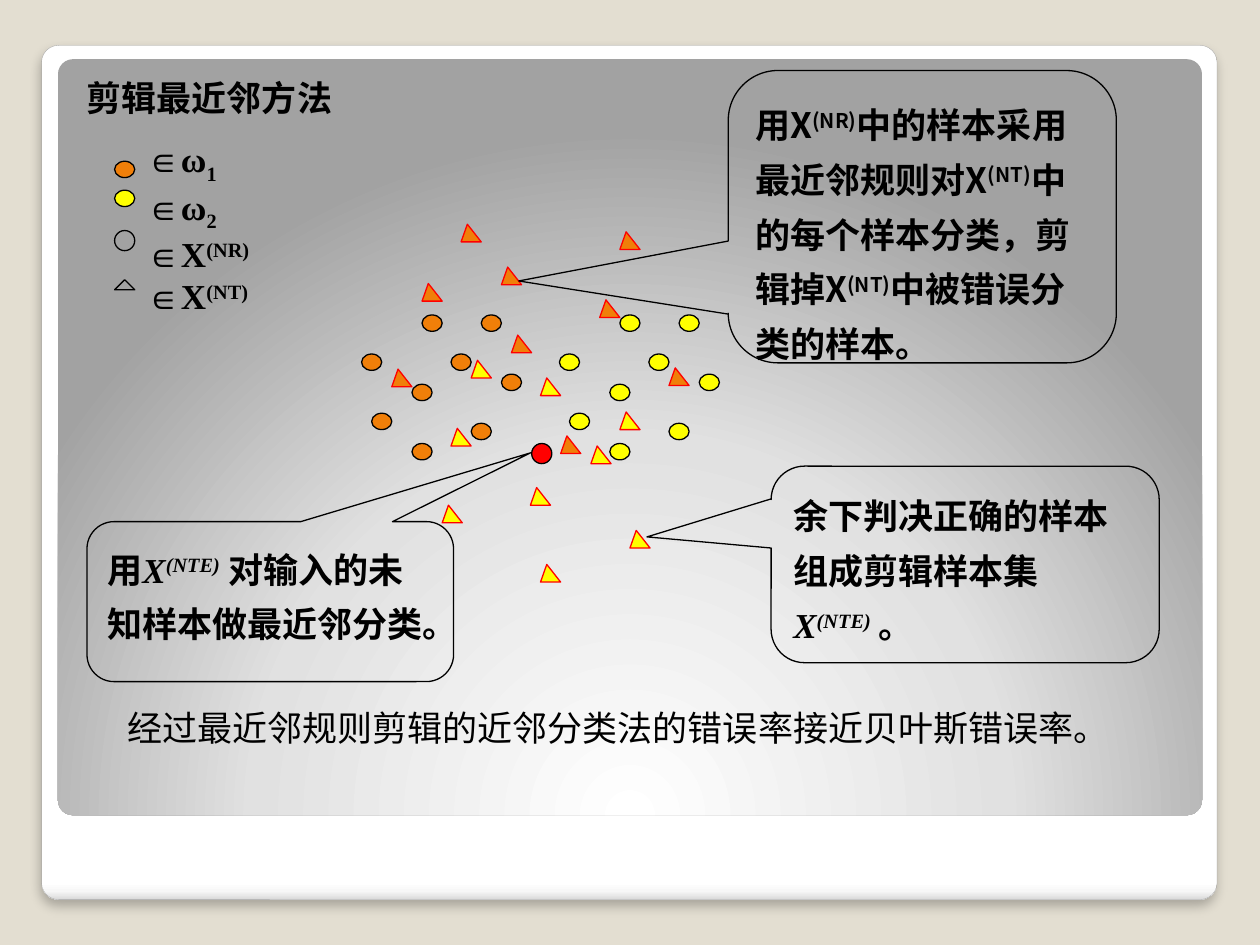
from typing import NamedTuple

import lxml.etree
import pptx
import pptx.dml.color
import pptx.enum.shapes
import pptx.enum.text
import pptx.oxml
import pptx.oxml.ns
import pptx.util

Inches = pptx.util.Inches
MSO = pptx.enum.shapes.MSO_SHAPE
qn = pptx.oxml.ns.qn

COLORS = {
    "page": "E3DED1", "edge": "A4A4A4", "black": "000000",
    "orange": "F07F09", "yellow": "FFFF00", "red": "FF0000",
}
SERIF, CJK = "Times New Roman", "Noto Sans CJK SC"
MARK_W, DOT_H, TRI_H = 0.16, 0.13, 0.14
CLASS_SHIFT = 1.57  # second class repeats the first one's dots, moved right


class Run(NamedTuple):
    text: str
    base: int = 0
    font: str = ""
    italic: bool = False


class Callout(NamedTuple):
    box: tuple[float, float, float, float]
    adj: tuple[float, float, float]
    runs: list[Run]


DOTS = [(2.87, 2.81), (3.27, 3.05), (3.58, 2.81), (3.35, 2.5), (3.82, 2.5),
        (3.98, 2.97), (3.74, 3.36), (3.27, 3.52), (2.95, 3.28)]
TRIANGLES = {
    "yellow": [(3.58, 3.4), (3.74, 2.86), (4.21, 3.87), (3.51, 4.01), (4.69, 3.54),
               (4.92, 3.27), (4.29, 3), (4.29, 4.48), (5, 4.21)],
    "orange": [(4.45, 3.46), (4.76, 2.38), (4.92, 1.84), (5.31, 2.92), (3.11, 2.93),
               (3.98, 2.12), (3.35, 2.25), (3.66, 1.78), (4.06, 2.66)],
}
NTE = [Run("X", 0, SERIF, True), Run("(NTE)", 30, SERIF, True)]
CALLOUTS = [
    Callout((5.78, 0.56, 3.08, 2.32), (-1.04, 0.22, 0.17),
            [Run("用X"), Run("(NR)", 30), Run("中的样本采用最近邻规则对X"),
             Run("(NT)", 30), Run("中的每个样本分类，剪辑掉X"),
             Run("(NT)", 30), Run("中被错误分类的样本。")]),
    Callout((6.12, 3.7, 3.08, 1.56), (-0.82, -0.14, 0.17),
            [Run("余下判决正确的样本组成剪辑样本集"), *NTE, Run(" 。")]),
    Callout((0.69, 4.14, 2.91, 1.27), (0.71, -0.93, 0.17),
            [Run("用"), *NTE, Run(" 对输入的未知样本做最近邻分类。")]),
]
LEGEND = [Run("∈ω"), Run("1\n", -25), Run("∈ω"), Run("2\n", -25),
          Run("∈X"), Run("(NR)\n", 30), Run("∈X"), Run("(NT)", 30)]


def rgb(name: str) -> pptx.dml.color.RGBColor:
    return pptx.dml.color.RGBColor.from_string(COLORS[name])


def style(sp, fill: str = "", line: str = "black", width: float = 0.75) -> None:
    sp.shadow.inherit = False
    if fill:
        sp.fill.solid()
        sp.fill.fore_color.rgb = rgb(fill)
    else:
        sp.fill.background()
    if line:
        sp.line.color.rgb = rgb(line)
        sp.line.width = pptx.util.Pt(width)
    else:
        sp.line.fill.background()


def add_preset(s, kind, box, **fmt):
    sp = s.shapes.add_shape(kind, *map(Inches, box))
    style(sp, **fmt)
    return sp


def add_triangle(s, x: float, y: float, h: float, apex: float, **fmt) -> None:
    points = [(x, y + h), (x + apex, y), (x + MARK_W, y + h)]
    start, *rest = [(Inches(px), Inches(py)) for px, py in points]
    builder = s.shapes.build_freeform(*start)
    builder.add_line_segments(rest, close=True)
    style(builder.convert_to_shape(), **fmt)


def write_text(sp, runs: list[Run], *, font: str, bold: bool = True,
               spacing: float = 1.0) -> None:
    tf = sp.text_frame
    tf.word_wrap = True
    tf.vertical_anchor = pptx.enum.text.MSO_ANCHOR.TOP
    p = tf.paragraphs[0]
    p.alignment = pptx.enum.text.PP_ALIGN.LEFT
    p.line_spacing = spacing
    for run in runs:
        r = p.add_run()
        r.text = run.text.rstrip("\n")
        name = run.font or font
        r.font.name, r.font.size = name, pptx.util.Pt(20)
        r.font.bold, r.font.italic = bold, run.italic
        r.font.color.rgb = rgb("black")
        rpr = r._r.get_or_add_rPr()
        lxml.etree.SubElement(rpr, qn("a:ea"), typeface=name)
        if run.base:
            rpr.set("baseline", str(run.base * 1000))
        if run.text.endswith("\n"):
            p.add_line_break()


def add_text(s, box, runs: list[Run], **fmt) -> None:
    write_text(s.shapes.add_textbox(*map(Inches, box)), runs, **fmt)


def set_gradient(sp, stops: list[tuple[int, str]], direction: str) -> None:
    gs = "".join(f'<a:gs pos="{pos * 1000}"><a:srgbClr val="{c}"/></a:gs>'
                 for pos, c in stops)
    grad = pptx.oxml.parse_xml(
        f'<a:gradFill {pptx.oxml.ns.nsdecls("a")} rotWithShape="1">'
        f"<a:gsLst>{gs}</a:gsLst>{direction}</a:gradFill>")
    sppr = sp._element.spPr
    sppr.replace(sppr.find(qn("a:noFill")), grad)


def add_card(s) -> None:
    outer = add_preset(s, MSO.ROUNDED_RECTANGLE, (0.33, 0.36, 9.33, 6.78),
                       line="edge", width=0.16)
    set_gradient(outer, [(0, "FFFFFF"), (98, "FFFFFF"), (99, "F7F7F7"), (100, "DADADA")],
                 '<a:lin ang="5400000" scaled="0"/>')
    outer._element.spPr.find(qn("a:effectLst")).append(pptx.oxml.parse_xml(
        f'<a:outerShdw {pptx.oxml.ns.nsdecls("a")} blurRad="76200" dist="50800" '
        'dir="5400000" algn="tl" rotWithShape="0"><a:srgbClr val="000000">'
        '<a:alpha val="25000"/></a:srgbClr></a:outerShdw>'))
    inner = add_preset(s, MSO.ROUNDED_RECTANGLE, (0.46, 0.47, 9.08, 6), line="")
    set_gradient(inner, [(0, "FFFFFF"), (55, "E1E1E1"), (100, "A2A2A2")],
                 '<a:path path="circle"><a:fillToRect l="50000" t="175000" '
                 'r="50000" b="-75000"/></a:path>')
    for sp in (outer, inner):
        sp.adjustments[0] = 0.02


def add_callout(s, callout: Callout) -> None:
    sp = add_preset(s, MSO.ROUNDED_RECTANGULAR_CALLOUT, callout.box)
    for i, value in enumerate(callout.adj):
        sp.adjustments[i] = value
    write_text(sp, callout.runs, font=CJK, spacing=1.3)


def main() -> None:
    prs = pptx.Presentation()
    prs.slide_width, prs.slide_height = Inches(10), Inches(7.5)
    s = prs.slides.add_slide(prs.slide_layouts[6])
    s.background.fill.solid()
    s.background.fill.fore_color.rgb = rgb("page")
    add_card(s)
    add_text(s, (0.59, 0.56, 9.37, 0.44), [Run("剪辑最近邻方法")], font="Arial")

    # Samples of both classes
    for color, shift in (("orange", 0), ("yellow", CLASS_SHIFT)):
        for x, y in DOTS:
            add_preset(s, MSO.OVAL, (x + shift, y, MARK_W, DOT_H), fill=color)
    for color, places in TRIANGLES.items():
        for x, y in places:
            add_triangle(s, x, y, TRI_H, 0.05, fill=color, line="red")

    # Legend
    for y, h, color in ((1.28, DOT_H, "orange"), (1.51, DOT_H, "yellow"), (1.83, 0.16, "")):
        add_preset(s, MSO.OVAL, (0.91, y, MARK_W, h), fill=color)
    add_triangle(s, 0.91, 2.22, 0.08, 0.08)
    add_text(s, (1.06, 1.04, 1.42, 1.45), LEGEND, font=SERIF)

    # Callouts, unknown sample and conclusion
    for callout in CALLOUTS:
        add_callout(s, callout)
    add_preset(s, MSO.OVAL, (4.22, 3.52, MARK_W, MARK_W), fill="red")
    add_text(s, (0.91, 5.56, 8.29, 0.44),
             [Run("经过最近邻规则剪辑的近邻分类法的错误率接近贝叶斯错误率。")],
             font="DejaVu Sans", bold=False)
    prs.save("out.pptx")


if __name__ == "__main__":
    main()
